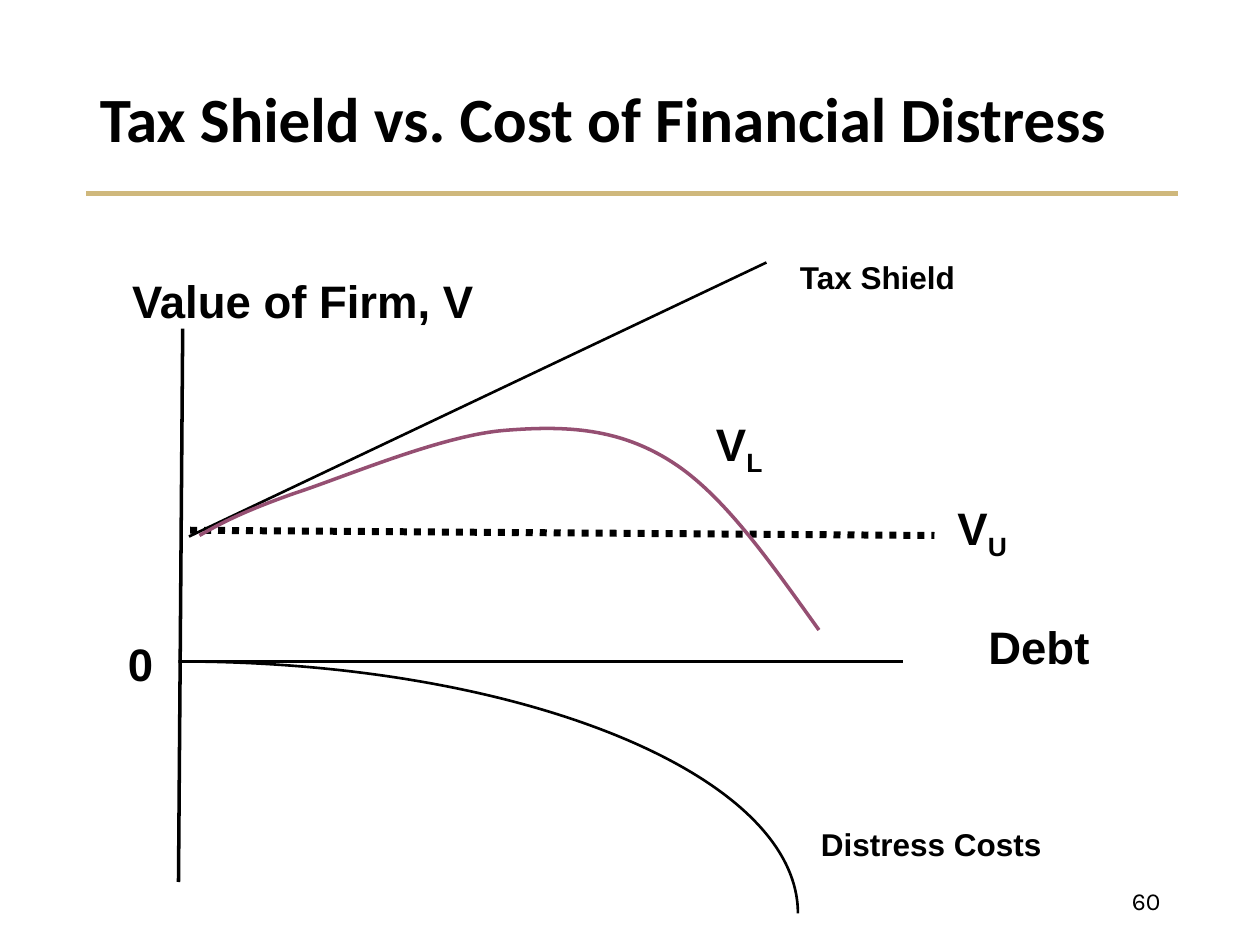
from dataclasses import dataclass
from lxml.etree import SubElement
from pptx import Presentation
from pptx.dml.color import RGBColor
from pptx.enum.dml import MSO_LINE_DASH_STYLE as Dash
from pptx.enum.shapes import MSO_CONNECTOR as Connector
from pptx.enum.text import MSO_ANCHOR as Anchor, MSO_AUTO_SIZE as AutoSize, PP_ALIGN as Align
from pptx.oxml.ns import qn
from pptx.util import Inches, Pt

COLORS = {"ink": "000000", "gold": "CFB87C", "plum": "954F72"}
COLUMNS, ROWS = 120, 90

deck = Presentation()
deck.slide_width, deck.slide_height = Inches(10), Inches(7.5)
slide = deck.slides.add_slide(deck.slide_layouts[5])


@dataclass
class Label:
    text: str
    col: float
    row: float
    cols: float
    rows: float
    subscript: str = ""
    size: float = 26
    font: str = "Arial"
    bold: bool = True
    align: Align = Align.LEFT
    anchor: Anchor = Anchor.TOP
    spacing: float = 1.0
    wrap: bool = True


@dataclass
class Line:
    start: tuple[float, float]
    end: tuple[float, float]
    width: float
    color: str = "ink"
    dash: Dash | None = None


@dataclass
class Curve:
    points: list[tuple[float, float]]
    width: float
    color: str = "ink"


def x(col: float) -> int:
    return round(deck.slide_width * col / COLUMNS)


def y(row: float) -> int:
    return round(deck.slide_height * row / ROWS)


def rgb(color: str) -> RGBColor:
    return RGBColor.from_string(COLORS[color])


def write(holder, label: Label) -> None:
    holder.left, holder.top = x(label.col), y(label.row)
    holder.width, holder.height = x(label.cols), y(label.rows)
    frame = holder.text_frame
    frame.auto_size = AutoSize.NONE
    frame.word_wrap = label.wrap
    frame.vertical_anchor = label.anchor
    paragraph = frame.paragraphs[0]
    paragraph.alignment = label.align
    paragraph.line_spacing = label.spacing
    for text, baseline in ((label.text, None), (label.subscript, "-25000")):
        if not text:
            continue
        run = paragraph.add_run()
        run.text = text
        run.font.name, run.font.size, run.font.bold = label.font, Pt(label.size), label.bold
        run.font.color.rgb = rgb("ink")
        if baseline:
            run._r.get_or_add_rPr().set("baseline", baseline)


def add_label(label: Label) -> None:
    write(slide.shapes.add_textbox(0, 0, 0, 0), label)


def draw_line(line: Line) -> None:
    connector = slide.shapes.add_connector(
        Connector.STRAIGHT, x(line.start[0]), y(line.start[1]), x(line.end[0]), y(line.end[1]))
    connector.line.color.rgb = rgb(line.color)
    connector.line.width = Pt(line.width)
    if line.dash:
        connector.line.dash_style = line.dash
    SubElement(connector._element.spPr, qn("a:effectLst"))


def draw_curve(curve: Curve) -> None:
    start, *controls = [(x(col), y(row)) for col, row in curve.points]
    builder = slide.shapes.build_freeform(*start)
    builder.add_line_segments(controls, close=False)
    outline = builder.convert_to_shape()
    outline.shadow.inherit = False
    outline.fill.background()
    outline.line.color.rgb = rgb(curve.color)
    outline.line.width = Pt(curve.width)
    path = next(outline._element.iter(qn("a:path")))
    segments = path.findall(qn("a:lnTo"))
    for first in range(0, len(segments), 3):
        bezier = SubElement(path, qn("a:cubicBezTo"))
        for segment in segments[first:first + 3]:
            bezier.append(segment[0])
            path.remove(segment)


title = Label("Tax Shield vs. Cost of Financial Distress", 8.3, 4.8, 103.4, 13.6,
              size=36, font="Calibri", anchor=Anchor.MIDDLE, spacing=0.9)
labels = [
    Label("60", 84.7, 83.4, 27, 4.8, size=14, font="Karla", bold=False,
          align=Align.RIGHT, anchor=Anchor.MIDDLE),
    Label("Value of Firm, V", 3, 26, 51.7, 5.9, align=Align.CENTER, spacing=0.9),
    Label("0", 11, 60, 5, 6.4),
    Label("Debt", 82.1, 59, 33.7, 5.9, align=Align.CENTER, spacing=0.9),
    Label("V", 67, 39, 7, 6.4, subscript="L", wrap=False),
    Label("V", 90, 47, 7.3, 6.4, subscript="U", wrap=False),
    Label("Tax Shield", 75, 24, 17.4, 4.8, size=18, wrap=False),
    Label("Distress Costs", 77, 78, 23.4, 4.8, size=18, wrap=False),
]
lines = [
    Line((8.2, 18.4), (112.2, 18.4), 3, "gold"),
    Line((17.4, 31.3), (17, 84), 2),
    Line((18.1, 50.5), (89, 51), 4, dash=Dash.ROUND_DOT),
    Line((18, 51.1), (73, 25), 1.5),
    Line((17.6, 63), (86, 63), 2),
]
distress_costs = Curve([(17, 63), (49.6, 63), (76, 73.8), (76, 87)], 1.5)
levered_value = Curve([
    (19, 51), (21.1, 49.8), (23.2, 48.7), (28, 47),
    (32.9, 45.4), (42, 41.5), (48, 41),
    (54, 40.5), (59, 40.8), (64, 44),
    (69, 47.2), (73.4, 53.6), (78, 60),
], 2, "plum")

write(slide.shapes.title, title)
for line in lines:
    draw_line(line)
for curve in (distress_costs, levered_value):
    draw_curve(curve)
for label in labels:
    add_label(label)

deck.save("out.pptx")
